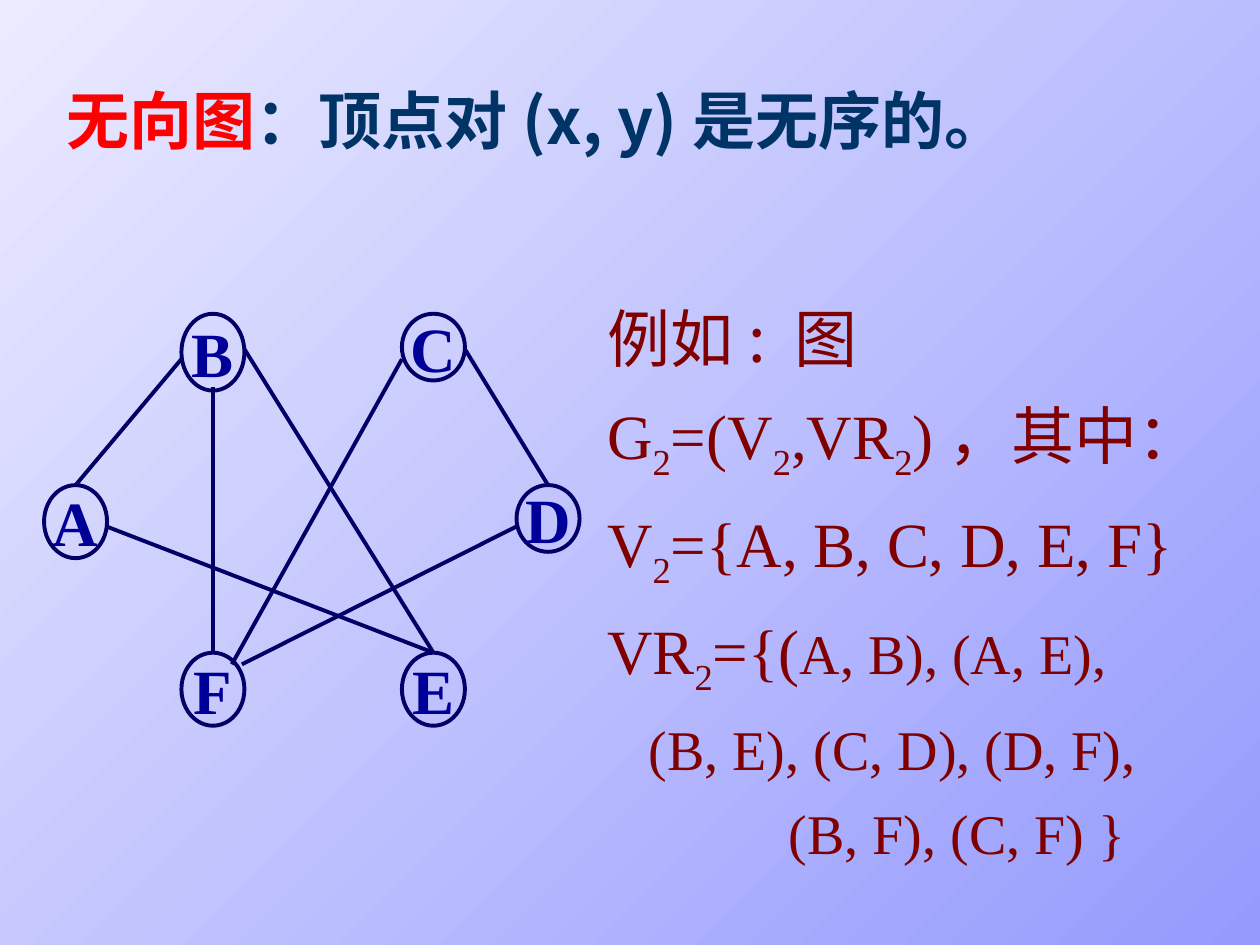
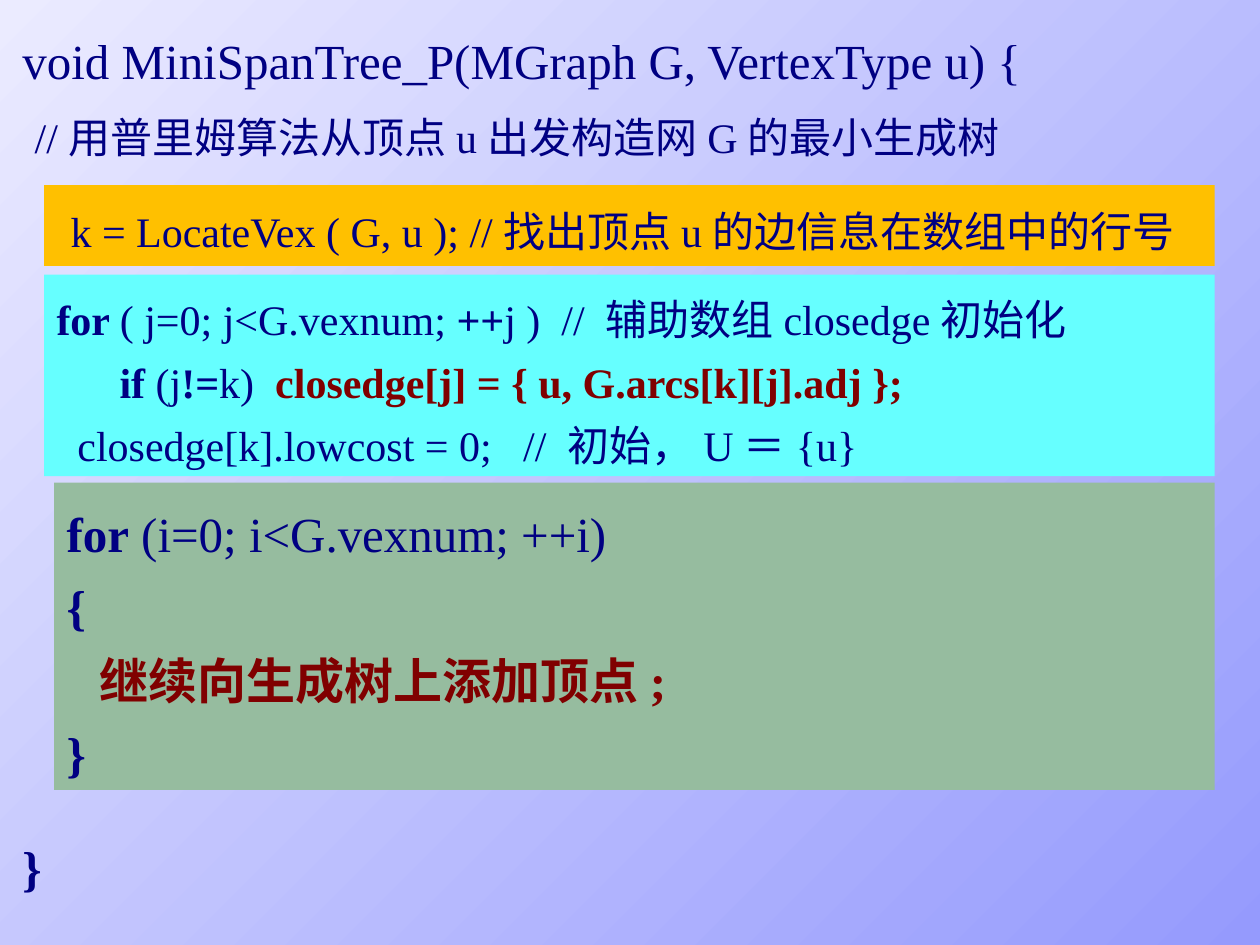
from lxml.etree import SubElement
from pptx import Presentation
from pptx.dml.color import RGBColor
from pptx.enum.shapes import MSO_CONNECTOR as Connector, MSO_SHAPE as Shape
from pptx.enum.text import MSO_ANCHOR as Anchor, PP_ALIGN as Align
from pptx.oxml.ns import qn
from pptx.util import Inches, Pt

PALE = RGBColor(0xEB, 0xEB, 0xFF)
PERIWINKLE = RGBColor(0x95, 0x9A, 0xFD)
EDGE_NAVY = RGBColor(0, 0, 0x66)
LABEL_BLUE = RGBColor(0, 0, 0x99)
CODE_NAVY = RGBColor(0, 0, 0x82)
MAROON = RGBColor(0x80, 0, 0)
RED = RGBColor(0xFF, 0, 0)
TITLE_BLUE = RGBColor(0, 0x33, 0x66)
AMBER = RGBColor(0xFF, 0xC0, 0)
AQUA = RGBColor(0x66, 0xFF, 0xFF)
SAGE = RGBColor(0x96, 0xBC, 0x9F)

SERIF = "Times New Roman"
HAN = "Noto Sans CJK SC"
TITLE_FACE = "Noto Sans CJK JP"

BOLD = {"bold": True}
SUBSCRIPT = {"subscript": True}
STRONG = {"bold": True, "color": MAROON}

NODE_WIDTH = 0.5
VERTICES = {
    "B": (1.44, 2.49, 0.61), "C": (3.19, 2.49, 0.53),
    "A": (0.35, 3.85, 0.58), "D": (4.1, 3.85, 0.53),
    "F": (1.44, 5.18, 0.58), "E": (3.19, 5.18, 0.58),
}
TOP = (0.5, 0)
EDGES = [
    ("B", (0, 0.59), "A", TOP),
    ("B", (1, 0.46), "E", TOP),
    ("A", (1, 0.57), "E", TOP),
    ("C", (0, 0.68), "F", (0.8, 0.16)),
    ("C", (1, 0.53), "D", TOP),
    ("D", (0, 0.62), "F", (0.96, 0.16)),
    ("B", (0.5, 0.95), "F", TOP),
]


def inches(*lengths):
    return [Inches(length) for length in lengths]


def style_run(run, bold=None, color=None, size=None, face=None, subscript=False):
    if bold is not None:
        run.font.bold = bold
    if color is not None:
        run.font.color.rgb = color
    if size:
        run.font.size = Pt(size)
    if face:
        run.font.name = face
    if subscript:
        run.font._element.set("baseline", "-25000")


def write_line(paragraph, runs, size, color, face=SERIF, han=HAN, bold=False,
               spacing=None, indent=0):
    if spacing:
        paragraph.line_spacing = spacing
    if indent:
        properties = paragraph._p.get_or_add_pPr()
        properties.set("marL", str(Inches(indent)))
        properties.set("indent", "0")
    font = paragraph.font
    font.name, font.size, font.bold = face, Pt(size), bold
    font.color.rgb = color
    SubElement(font._element, qn("a:ea")).set("typeface", han)
    for text, style in runs:
        run = paragraph.add_run()
        run.text = text
        style_run(run, **style)


def write_lines(frame, lines, **shared):
    frame.word_wrap = True
    for number, (runs, options) in enumerate(lines):
        paragraph = frame.add_paragraph() if number else frame.paragraphs[0]
        write_line(paragraph, runs, **{**shared, **options})


def add_text(slide, place, lines, **shared):
    box = slide.shapes.add_textbox(*inches(*place))
    write_lines(box.text_frame, lines, **shared)


def add_code_band(slide, place, fill, lines, **shared):
    band = slide.shapes.add_shape(Shape.RECTANGLE, *inches(*place))
    band.shadow.inherit = False
    band.fill.solid()
    band.fill.fore_color.rgb = fill
    band.line.fill.background()
    band.text_frame.vertical_anchor = Anchor.TOP
    write_lines(band.text_frame, lines, color=CODE_NAVY, **shared)
    for paragraph in band.text_frame.paragraphs:
        paragraph.alignment = Align.LEFT


def add_vertex(slide, label):
    left, top, height = VERTICES[label]
    vertex = slide.shapes.add_shape(
        Shape.OVAL, *inches(left, top, NODE_WIDTH, height))
    vertex.shadow.inherit = False
    vertex.fill.background()
    vertex.line.color.rgb = EDGE_NAVY
    vertex.line.width = Pt(2.25)
    frame = vertex.text_frame
    frame.word_wrap = False
    frame.vertical_anchor = Anchor.MIDDLE
    frame.paragraphs[0].alignment = Align.CENTER
    write_line(frame.paragraphs[0], [(label, {})], 36, LABEL_BLUE, bold=True)


def vertex_point(label, share):
    left, top, height = VERTICES[label]
    return inches(left + share[0] * NODE_WIDTH, top + share[1] * height)


def add_edge(slide, start, start_share, end, end_share):
    edge = slide.shapes.add_connector(
        Connector.STRAIGHT, *vertex_point(start, start_share),
        *vertex_point(end, end_share))
    edge.line.color.rgb = EDGE_NAVY
    edge.line.width = Pt(2.25)
    SubElement(edge._element.spPr, qn("a:effectLst"))


def with_subscripts(text):
    runs = []
    for number, part in enumerate(text.split("₂")):
        if number:
            runs.append(("2", SUBSCRIPT))
        runs.append((part, {}))
    return runs


def set_background(master):
    fill = master.background.fill
    fill.gradient()
    fill.gradient_angle = 315
    for stop, color, position in zip(fill.gradient_stops, (PALE, PERIWINKLE), (0, 1)):
        stop.color.rgb = color
        stop.position = position


def build_undirected_graph(slide):
    for label in VERTICES:
        add_vertex(slide, label)
    for edge in EDGES:
        add_edge(slide, *edge)
    add_text(slide, (4.72, 2.18, 5.28, 4.75), [
        ([("例如: ", {"face": HAN})]
         + with_subscripts("图 G₂=(V₂,VR₂)，其中："), {}),
        (with_subscripts("V₂={A, B, C, D, E, F}"), {}),
        (with_subscripts("VR₂={(") + [("A, B), (A, E),", {"size": 32})], {}),
        ([("(B, E), (C, D), (D, F),", {})], {"size": 32, "indent": 0.33}),
        ([("(B, F), (C, F) }", {})], {"size": 32, "indent": 1.44}),
    ], size=36, color=MAROON, spacing=1.25)
    add_text(slide, (0.43, 0.6, 9.14, 0.7), [
        ([("无向图", {"color": RED}), ("：顶点对(x, y)是无序的。", {})], {}),
    ], size=36, color=TITLE_BLUE, face=TITLE_FACE, han=TITLE_FACE, bold=True)


def build_prim_code(slide):
    add_text(slide, (0.08, 0.08, 9.92, 1.3), [
        ([("void MiniSpanTree_P(MGraph G, VertexType u) {", {})], {}),
        ([(" ", {}), ("//用普里姆算法从顶点u出发构造网G的最小生成树", {"size": 24})], {}),
    ], size=28, color=CODE_NAVY, spacing=1.25)
    add_text(slide, (0.08, 6.48, 1, 0.68), [([("}", {})], {})],
             size=28, color=CODE_NAVY, bold=True, spacing=1.25)
    add_code_band(slide, (0.35, 1.47, 9.29, 0.64), AMBER, [
        ([(" ", {}), ("k = LocateVex ( G, u ); //找出顶点u的边信息在数组中的行号",
                      {"size": 24})], {}),
    ], size=32)
    add_code_band(slide, (0.35, 2.18, 9.29, 1.6), AQUA, [
        ([("for ", BOLD), ("( j=0; j<G.vexnum; ", {}), ("++", BOLD),
          ("j )  // 辅助数组closedge初始化", {})], {}),
        ([("      ", {}), ("if", BOLD), (" (j", {}), ("!=", BOLD), ("k)  ", {}),
          ("closedge[j] = { u, G.arcs[k][j].adj };", STRONG)], {}),
        ([("  closedge[k].lowcost = 0;   // 初始，U＝{u}", {})], {}),
    ], size=24, spacing=1.25)
    add_code_band(slide, (0.43, 3.83, 9.21, 2.44), SAGE, [
        ([("for", BOLD), (" (i=0; i<G.vexnum; ++i)", {})], {}),
        ([("{", BOLD)], {}),
        ([("   继续向生成树上添加顶点;", STRONG)], {}),
        ([("}", BOLD)], {}),
    ], size=28, spacing=1.25)


def main():
    deck = Presentation()
    deck.slide_width, deck.slide_height = inches(10, 7.5)
    set_background(deck.slide_master)
    blank = deck.slide_layouts[6]
    for build in (build_undirected_graph, build_prim_code):
        build(deck.slides.add_slide(blank))
    deck.save("out.pptx")


if __name__ == "__main__":
    main()
